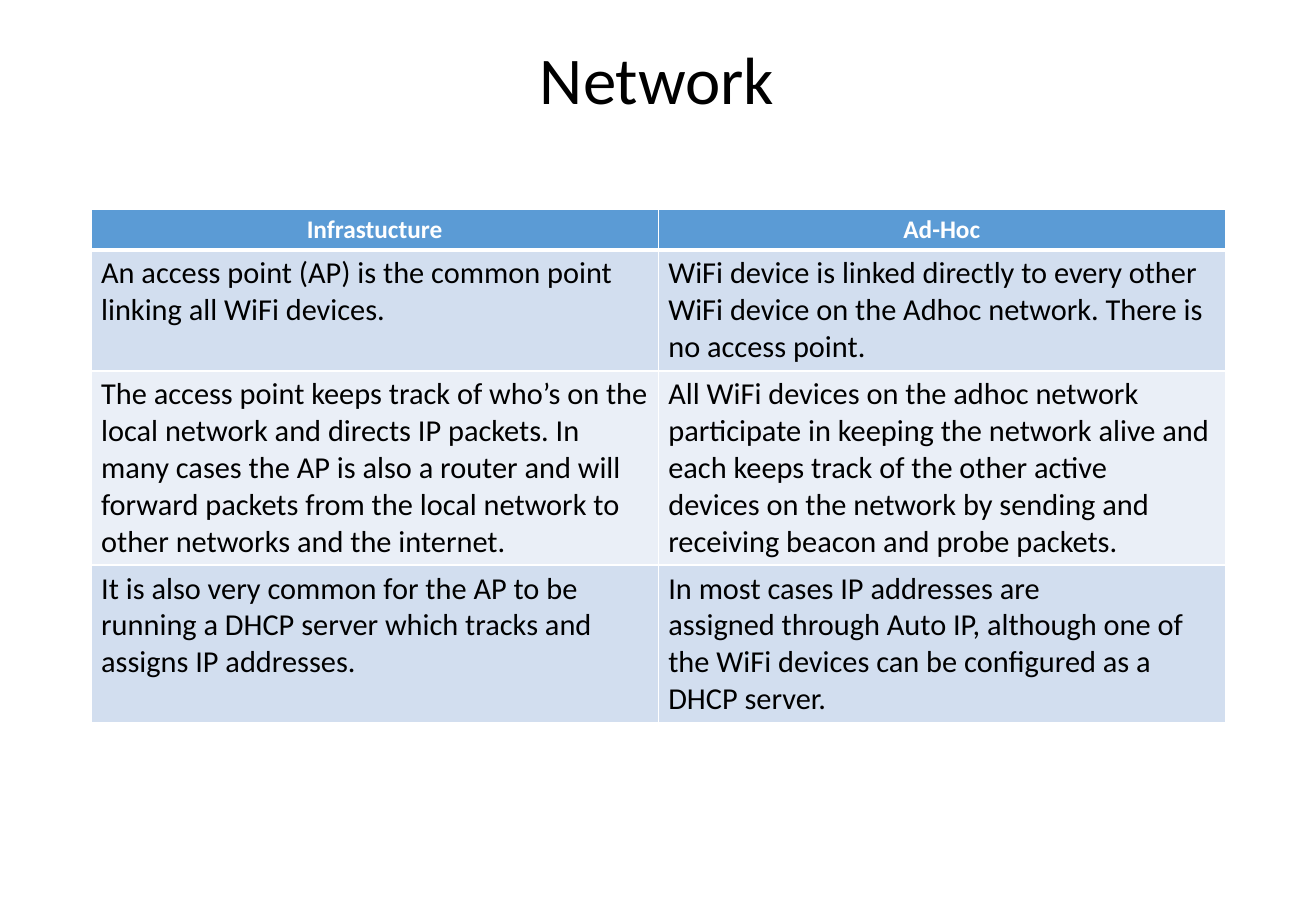
import pptx
import pptx.util
import pptx.oxml
import pptx.dml.color
import pptx.enum.text

# Content: each cell is a list of paragraphs
TITLE = "Network"
ROWS = [
    (["Infrastucture"], ["Ad-Hoc"]),
    (["An access point (AP) is the common point linking all WiFi devices."],
     ["WiFi device is linked directly to every other WiFi device on the "
      "Adhoc network. There is no access point."]),
    (["The access point keeps track of who’s on the local network and "
      "directs IP packets. In many cases the AP is also a router and will "
      "forward packets from the local network to other networks and the "
      "internet."],
     ["All WiFi devices on the adhoc network participate in keeping the "
      "network alive and each keeps track of the other active",
      "devices on the network by sending and receiving beacon and probe "
      "packets."]),
    (["It is also very common for the AP to be running a DHCP server which "
      "tracks and assigns IP addresses."],
     ["In most cases IP addresses are",
      "assigned through Auto IP, although one of the WiFi devices can be "
      "configured as a DHCP server."]),
]
HEIGHTS = [41, 121, 194, 157]
LEFT, TOP, WIDTH = 91, 209, 1134
COLORS = {"head": "5B9BD5", "odd": "D2DEEF", "even": "EAEFF7",
          "line": "FFFFFF", "text": "000000"}

# Text formats
ALIGN = pptx.enum.text.PP_ALIGN
FORMATS = {
    "title": {"size": 47.5, "bold": False, "color": "text",
              "para": {"alignment": ALIGN.CENTER, "line_spacing": 0.9}},
    "head": {"size": 18, "bold": True, "color": "line",
             "para": {"alignment": ALIGN.CENTER}},
    "body": {"size": 21.6, "bold": False, "color": "text",
             "para": {"alignment": ALIGN.LEFT}},
}
NS = "http://schemas.openxmlformats.org/drawingml/2006/main"


def px(num):
    return round(num * 914400 / 101.2)


def rgb(name):
    return pptx.dml.color.RGBColor.from_string(COLORS[name])


def write(frame, paras, kind):
    form = FORMATS[kind]
    for i, text in enumerate(paras):
        para = frame.add_paragraph() if i else frame.paragraphs[0]
        for key, val in form["para"].items():
            setattr(para, key, val)
        run = para.add_run()
        run.text = text
        font = {"name": "Calibri", "bold": form["bold"],
                "size": pptx.util.Pt(form["size"])}
        for key, val in font.items():
            setattr(run.font, key, val)
        run.font.color.rgb = rgb(form["color"])


def border(cell, widths):
    props = cell._tc.get_or_add_tcPr()
    for side, width in widths.items():
        props.append(pptx.oxml.parse_xml(
            f'<a:ln{side} xmlns:a="{NS}" w="{pptx.util.Pt(width)}"><a:solidFill>'
            f'<a:srgbClr val="{COLORS["line"]}"/></a:solidFill></a:ln{side}>'))


deck = pptx.Presentation()
deck.slide_width = pptx.util.Inches(13)
deck.slide_height = pptx.util.Inches(9)
slide = deck.slides.add_slide(deck.slide_layouts[6])

# Title
box = slide.shapes.add_textbox(px(90), px(49), px(WIDTH), px(68))
box.text_frame.word_wrap = True
box.text_frame.vertical_anchor = pptx.enum.text.MSO_ANCHOR.MIDDLE
write(box.text_frame, [TITLE], "title")

# Table
table = slide.shapes.add_table(len(ROWS), 2, px(LEFT), px(TOP), px(WIDTH),
                               px(sum(HEIGHTS))).table
for col in table.columns:
    col.width = px(WIDTH / 2)
for r, (row, high) in enumerate(zip(ROWS, HEIGHTS)):
    table.rows[r].height = px(high)
    band = "head" if r == 0 else "odd" if r % 2 else "even"
    for c, paras in enumerate(row):
        cell = table.cell(r, c)
        border(cell, {"L": 1, "R": 1, "T": 3 if r == 1 else 1,
                      "B": 3 if r == 0 else 1})
        cell.fill.solid()
        cell.fill.fore_color.rgb = rgb(band)
        write(cell.text_frame, paras, "body" if r else "head")

deck.save("out.pptx")
